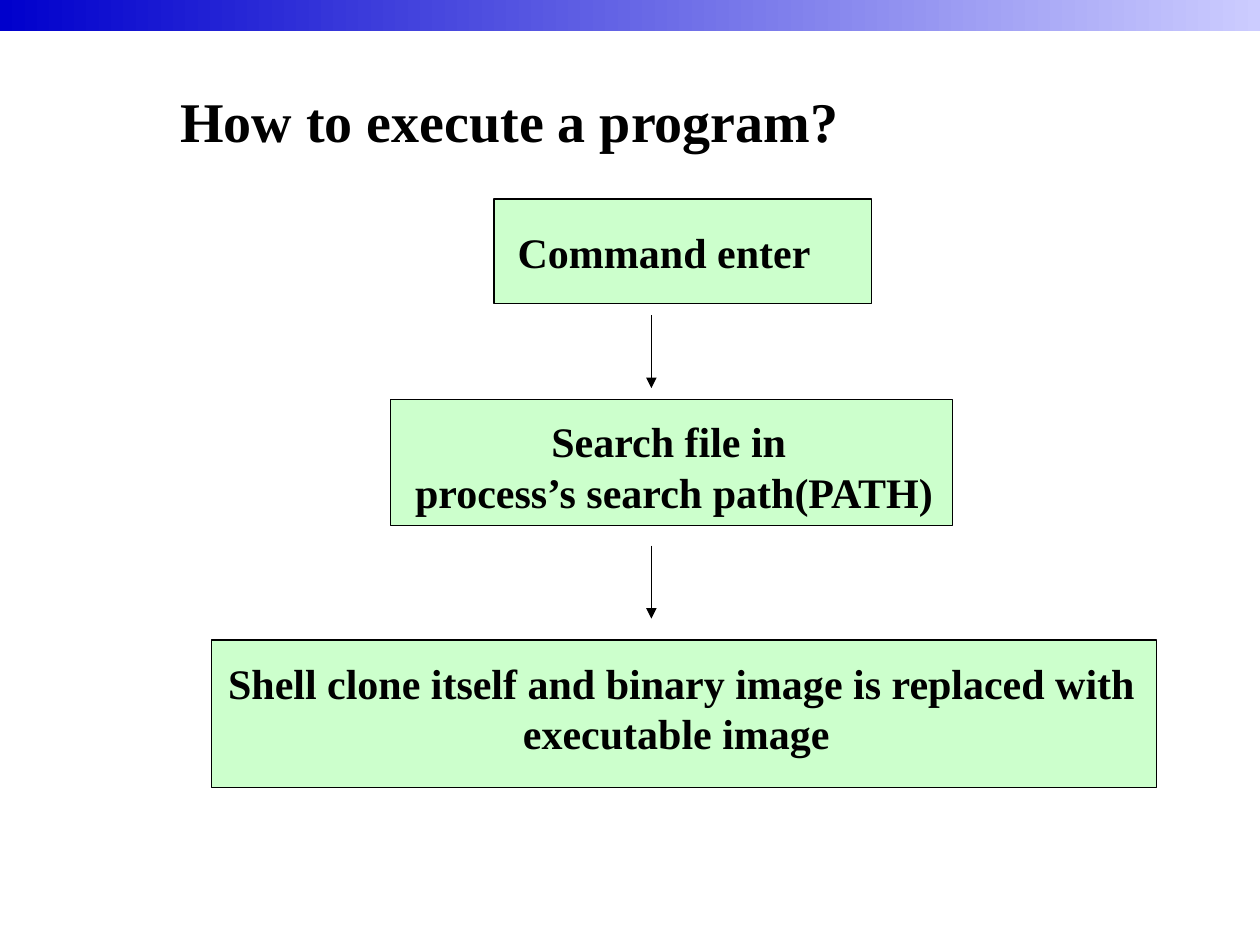
from dataclasses import dataclass

from pptx import Presentation
from pptx import util as u
from pptx.dml.color import RGBColor
from pptx.enum import shapes, text
from pptx.oxml import ns, xmlchemy


@dataclass(frozen=True)
class Theme:
    font: str = "Times New Roman"
    ink: str = "000000"
    box_fill: str = "CCFFCC"
    band_light: str = "CCCCFF"
    band_dark: str = "0000CC"
    title_size: int = 32
    label_size: int = 24
    line_width: float = 0.75


def write_text(frame, lines, theme, size, align, wrap=True,
               anchor=text.MSO_ANCHOR.TOP, fit=text.MSO_AUTO_SIZE.NONE):
    """Fill a text frame with one bold paragraph per line."""
    frame.word_wrap = wrap
    frame.vertical_anchor = anchor
    frame.auto_size = fit
    for index, line in enumerate(lines):
        para = frame.add_paragraph() if index else frame.paragraphs[0]
        para.alignment = align
        span = para.add_run()
        span.text = line
        span.font.name = theme.font
        span.font.size = u.Pt(size)
        span.font.bold = True
        span.font.color.rgb = RGBColor.from_string(theme.ink)


class SlideBuilder:
    def __init__(self, page, theme):
        self.page = page
        self.theme = theme

    def rectangle(self, parent, area):
        box = parent.add_shape(shapes.MSO_SHAPE.RECTANGLE, *map(u.Inches, area))
        box.shadow.inherit = False
        box.fill.solid()
        box.fill.fore_color.rgb = RGBColor.from_string(self.theme.box_fill)
        box.line.fill.background()
        return box

    def outline(self, line):
        line.color.rgb = RGBColor.from_string(self.theme.ink)
        line.width = u.Pt(self.theme.line_width)

    def band(self, area):
        band = self.rectangle(self.page.shapes, area)
        band.fill.gradient()
        band.fill.gradient_angle = 180
        colors = (self.theme.band_light, self.theme.band_dark)
        for stop, color in zip(band.fill.gradient_stops, colors):
            stop.color.rgb = RGBColor.from_string(color)

    def title(self, words, area):
        title = self.page.shapes.title
        title.left, title.top, title.width, title.height = map(u.Inches, area)
        write_text(title.text_frame, [words], self.theme, self.theme.title_size,
                   text.PP_ALIGN.LEFT, anchor=text.MSO_ANCHOR.MIDDLE)

    def step(self, lines, frame_area, label_area, align, wrap):
        """Group an outlined frame with the label inside it."""
        group = self.page.shapes.add_group_shape()
        self.outline(self.rectangle(group.shapes, frame_area).line)
        label = self.rectangle(group.shapes, label_area)
        write_text(label.text_frame, lines, self.theme, self.theme.label_size,
                   align, wrap=wrap, fit=text.MSO_AUTO_SIZE.SHAPE_TO_FIT_TEXT)

    def arrow(self, x, top, bottom):
        arrow = self.page.shapes.add_connector(
            shapes.MSO_CONNECTOR.STRAIGHT, *map(u.Inches, (x, top, x, bottom)))
        self.outline(arrow.line)
        head = xmlchemy.OxmlElement("a:tailEnd")
        head.set("type", "triangle")
        properties = arrow.element.find(ns.qn("p:spPr"))
        properties.find(ns.qn("a:ln")).append(head)
        properties.append(xmlchemy.OxmlElement("a:effectLst"))


def main():
    deck = Presentation()
    deck.slide_width, deck.slide_height = u.Inches(10), u.Inches(7.5)
    page = deck.slides.add_slide(deck.slide_layouts[5])
    builder = SlideBuilder(page, Theme())

    # Top band and title
    builder.band((0, 0, 10, 0.25))
    builder.title("How to execute a program?", (1.33, 0.33, 8.5, 1.25))

    # Steps: lines, frame, label, alignment, wrapping
    left, center = text.PP_ALIGN.LEFT, text.PP_ALIGN.CENTER
    steps = [
        (["Command enter"],
         (3.92, 1.58, 3, 0.83), (4.01, 1.75, 2.71, 0.5), left, True),
        (["Search file in ", "process’s search path(PATH)"],
         (3.1, 3.17, 4.46, 1), (3.16, 3.25, 4.38, 0.9), center, False),
        (["Shell clone itself and binary image is replaced with",
          "executable image "],
         (1.68, 5.08, 7.5, 1.17), (1.71, 5.17, 7.4, 0.9), center, False),
    ]
    for step in steps:
        builder.step(*step)

    # Arrows in the gaps between steps
    for top in (2.5, 4.33):
        builder.arrow(5.17, top, top + 0.58)

    deck.save("out.pptx")


if __name__ == "__main__":
    main()
